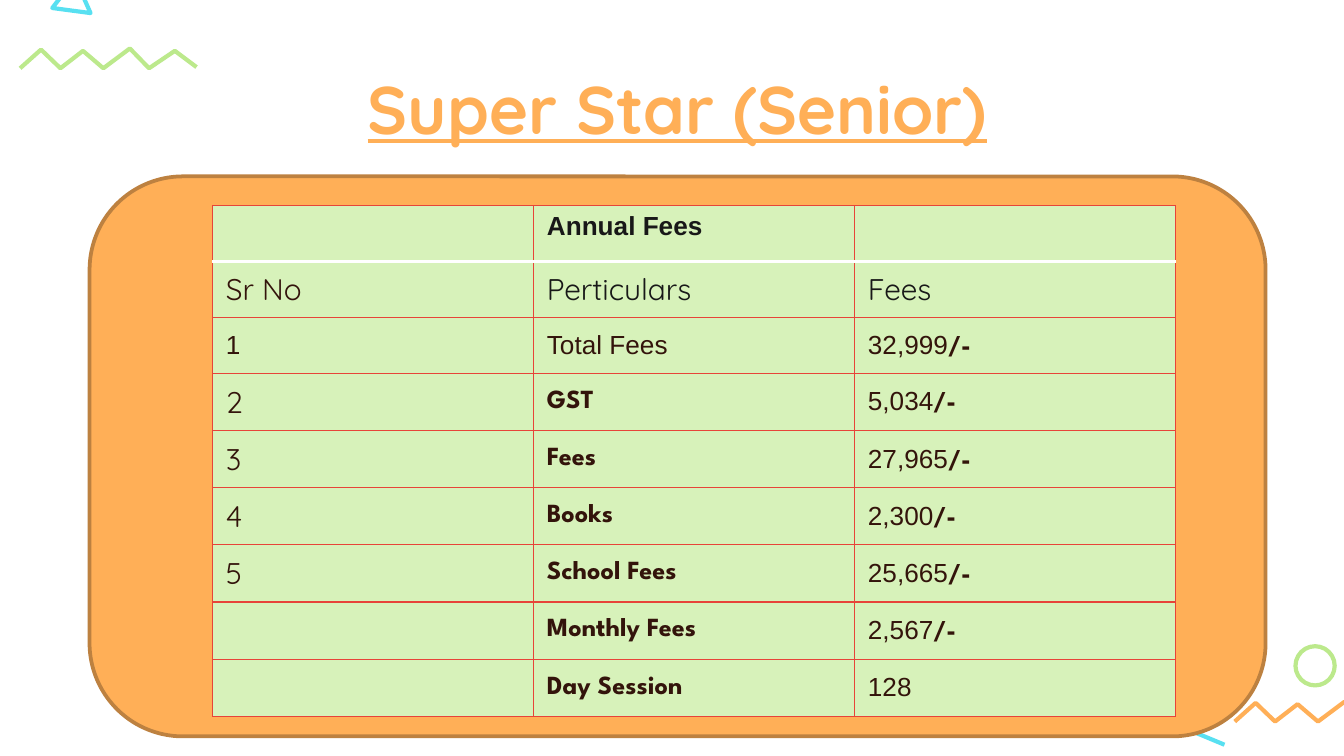
from lxml.etree import SubElement
from pptx import Presentation
from pptx.dml.color import RGBColor
from pptx.enum.shapes import MSO_SHAPE as SHAPE
from pptx.enum.text import MSO_ANCHOR as ANCHOR, PP_ALIGN as ALIGN
from pptx.oxml import parse_xml
from pptx.oxml.ns import nsdecls, qn
from pptx.util import Pt

COLORS = {
    "orange": "FFAF57", "brown": "BD8140", "lime": "BCE98C", "cyan": "58E0F1",
    "mint": "D7F2BA", "red": "E74439", "white": "FFFFFF",
    "ink": "181818", "cocoa": "33140B",
}
HEAD, BODY, LABEL = "Quicksand", "Arial", "League Spartan"

# Serial number, particular, fee, suffix of the fee
FEES = [
    ("1", "Total Fees", "32,999", "/-"),
    ("2", "GST", "5,034", "/-"),
    ("3", "Fees", "27,965", "/-"),
    ("4", "Books", "2,300", "/-"),
    ("5", "School Fees", "25,665", "/-"),
    ("", "Monthly Fees", "2,567", "/-"),
    ("", "Day Session", "128", ""),
]


def rgb(name):
    return RGBColor.from_string(COLORS[name])


def add_run(p, text, font, size, color, bold=False, underline=False):
    r = p.add_run()
    r.text = text
    f = r.font
    f.name, f.size, f.bold, f.underline = font, Pt(size), bold, underline
    f.color.rgb = rgb(color)


def outline(sp, color, width=2.25):
    sp.shadow.inherit = False
    sp.line.color.rgb = rgb(color)
    sp.line.width = Pt(width)


def add_path(slide, points, color, close=False):
    points = [(Pt(x), Pt(y)) for x, y in points]
    builder = slide.shapes.build_freeform(*points[0])
    builder.add_line_segments(points[1:], close=close)
    sp = builder.convert_to_shape()
    sp.fill.background()
    outline(sp, color)


def add_zigzag(slide, left, top, color):
    xs = [0, 11.2, 21.6, 33.7, 44.6, 58.8, 69.1, 82.9, 94.5]
    ys = [10.6, 0.6, 10.6, 1.3, 10.6, 0, 10.6, 1.3, 10]
    add_path(slide, [(left + x, top + y) for x, y in zip(xs, ys)], color)


def add_decorations(slide):
    add_zigzag(slide, 10.8, 26, "lime")
    add_path(slide, [(48.5, 7), (40.3, -11.5), (28, 4.3)], "cyan", close=True)
    ring = slide.shapes.add_shape(SHAPE.OVAL, Pt(694), Pt(346.2), Pt(21), Pt(21))
    ring.fill.background()
    outline(ring, "lime")
    add_zigzag(slide, 661.5, 376, "orange")
    add_path(slide, [(656, 399), (631.5, 388.8)], "cyan")


def add_title(slide, left, top, width, height):
    box = slide.shapes.add_textbox(Pt(left), Pt(top), Pt(width), Pt(height))
    tf = box.text_frame
    tf.word_wrap = True
    tf.margin_left = tf.margin_right = tf.margin_top = tf.margin_bottom = Pt(7.2)
    p = tf.paragraphs[0]
    p.alignment = ALIGN.CENTER
    add_run(p, "Super Star (Senior)", HEAD, 36, "orange", True, True)


def add_panel(slide, left, top, width, height):
    sp = slide.shapes.add_shape(SHAPE.ROUNDED_RECTANGLE,
                                Pt(left), Pt(top), Pt(width), Pt(height))
    sp.fill.solid()
    sp.fill.fore_color.rgb = rgb("orange")
    outline(sp, "brown", 2)


def set_borders(cell, row):
    white_side = {0: "B", 1: "T"}.get(row)
    props = cell._tc.get_or_add_tcPr()
    for i, side in enumerate("LRTB"):
        color, width = ("white", 2) if side == white_side else ("red", 0.75)
        props.insert(i, parse_xml(
            f'<a:ln{side} {nsdecls("a")} w="{Pt(width)}"><a:solidFill>'
            f'<a:srgbClr val="{COLORS[color]}"/></a:solidFill></a:ln{side}>'))


def table_rows():
    """Each cell is a list of runs: text, font, size, colour, bold."""
    yield [[], [("Annual Fees", BODY, 14, "ink", True)], []]
    yield [[("Sr No", HEAD, 16, "cocoa")], [("Perticulars", HEAD, 16, "ink")],
           [("Fees", HEAD, 16, "ink")]]
    for i, (number, label, fee, suffix) in enumerate(FEES):
        total = i == 0
        runs = [
            [(number, BODY if total else HEAD, 14 if total else 16, "cocoa")],
            [(label, BODY if total else LABEL, 14, "cocoa", not total)],
            [(fee, BODY, 14, "cocoa"), (suffix, LABEL, 14, "cocoa", True)],
        ]
        yield [[run for run in cell if run[0]] for cell in runs]


def add_fee_table(slide, left, top, width, height):
    rows = list(table_rows())
    table = slide.shapes.add_table(len(rows), 3, Pt(left), Pt(top),
                                   Pt(width), Pt(height)).table
    table.first_row = table.horz_banding = False
    for col in table.columns:
        col.width = Pt(width / 3)
    for i, row in enumerate(rows):
        # The first three rows are slightly lower than the rest
        table.rows[i].height = Pt(30 if i < 3 else (height - 90) / (len(rows) - 3))
        for j, runs in enumerate(row):
            cell = table.cell(i, j)
            cell.fill.solid()
            cell.fill.fore_color.rgb = rgb("mint")
            set_borders(cell, i)
            if i:
                cell.margin_top = cell.margin_bottom = Pt(5)
                cell.vertical_anchor = ANCHOR.BOTTOM if i == 1 else ANCHOR.MIDDLE
            p = cell.text_frame.paragraphs[0]
            for run in runs:
                add_run(p, *run)
            if not runs:
                SubElement(p._p, qn("a:endParaRPr"), sz="1400")


def main():
    prs = Presentation()
    prs.slide_width, prs.slide_height = Pt(720), Pt(405)
    slide = prs.slides.add_slide(prs.slide_layouts[6])
    add_decorations(slide)
    add_title(slide, 96.5, 28.8, 532.8, 74.2)
    add_panel(slide, 48, 94.5, 630, 300)
    add_fee_table(slide, 113.8, 110, 516, 274)
    prs.save("out.pptx")


if __name__ == "__main__":
    main()
